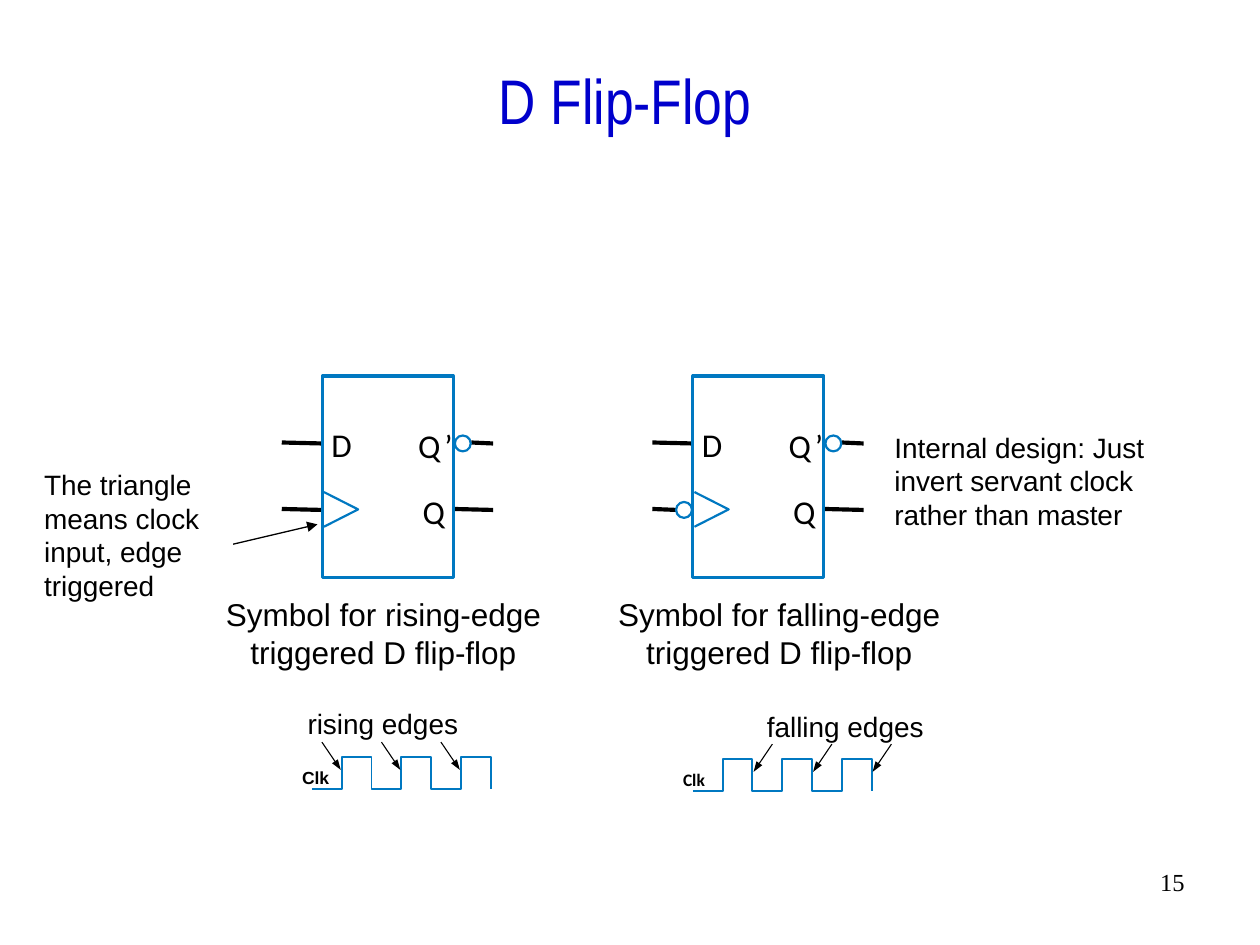
from dataclasses import dataclass

from lxml import etree
from pptx import Presentation
from pptx.dml.color import RGBColor
from pptx.enum.shapes import MSO_CONNECTOR, MSO_SHAPE
from pptx.enum.text import MSO_ANCHOR, MSO_AUTO_SIZE, PP_ALIGN
from pptx.oxml.ns import qn
from pptx.util import Cm, Pt

LEFT, CENTER, RIGHT = PP_ALIGN.LEFT, PP_ALIGN.CENTER, PP_ALIGN.RIGHT
MIDDLE = MSO_ANCHOR.MIDDLE
FIT_SHAPE = MSO_AUTO_SIZE.SHAPE_TO_FIT_TEXT
STRAIGHT = MSO_CONNECTOR.STRAIGHT
RECTANGLE, OVAL = MSO_SHAPE.RECTANGLE, MSO_SHAPE.OVAL

BLACK = RGBColor(0x00, 0x00, 0x00)
WHITE = RGBColor(0xFF, 0xFF, 0xFF)
BLUE = RGBColor(0x00, 0x78, 0xC1)
TITLE_BLUE = RGBColor(0x00, 0x00, 0xCC)

# All measures below are in centimetres
BODY_TOP, BODY_WIDTH, BODY_HEIGHT = 7.58, 2.64, 4.06
DATA_Y, CLOCK_Y = 8.93, 10.27
PIN_LENGTH, BUBBLE = 0.82, 0.32
HALF_PERIOD, PULSE_HEIGHT, PULSES = 0.6, 0.65, 3


@dataclass(frozen=True)
class Label:
    text: str
    left: float
    top: float
    width: float
    height: float
    size: float = 16
    font: str = "Arial"
    align: PP_ALIGN = LEFT
    bold: bool = False
    wrap: bool = False
    inset: bool = True


@dataclass(frozen=True)
class FlipFlop:
    left: float
    inverted_clock: bool


@dataclass(frozen=True)
class Clock:
    left: float
    top: float
    edge: int  # half period in which the first marked edge comes
    lean: int  # side of the edge on which its arrow starts
    font: str


PIN_NAMES = (  # text, offset from the body's left side, top, width
    ("D", 0.18, 8.56, 0.48),
    ("Q", 1.93, 8.58, 0.53),
    ("’", 2.46, 8.58, 0.13),
    ("Q", 2.02, 9.9, 0.53),
)
FLIP_FLOPS = (FlipFlop(6.5, False), FlipFlop(13.97, True))
CLOCKS = (
    Clock(6.29, 15.26, 1, -1, "Arial"),
    Clock(13.97, 15.3, 2, 1, "Calibri"),
)
LABELS = (
    Label("Symbol for rising-edge\ntriggered D flip-flop",
          4.08, 11.87, 7.3, 1.78, size=18, align=CENTER),
    Label("Symbol for falling-edge\ntriggered D flip-flop",
          11.96, 11.87, 7.5, 1.78, size=18, align=CENTER),
    Label("rising edges", 5.95, 14.12, 4.2, 0.94, wrap=True),
    Label("falling edges", 15.21, 14.17, 4.4, 0.94, wrap=True),
    Label("Internal design: Just invert servant clock rather than master",
          17.78, 8.55, 6.1, 2.29, wrap=True),
    Label("The triangle means clock input, edge triggered",
          0.64, 9.3, 5.13, 2.97, wrap=True),
    Label("15", 18.85, 17.35, 5.28, 1.27, size=14, font="Times New Roman",
          align=RIGHT, wrap=True),
)


def format_text(frame, size: float, font: str, color: RGBColor,
                align: PP_ALIGN, bold: bool = False) -> None:
    for paragraph in frame.paragraphs:
        paragraph.alignment = align
        for run in paragraph.runs:
            run.font.size = Pt(size)
            run.font.name = font
            run.font.bold = bold
            run.font.color.rgb = color


def draw_label(shapes, label: Label) -> None:
    box = shapes.add_textbox(Cm(label.left), Cm(label.top),
                             Cm(label.width), Cm(label.height))
    frame = box.text_frame
    frame.text = label.text
    frame.word_wrap = label.wrap
    frame.auto_size = FIT_SHAPE
    if not label.inset:
        frame.margin_left = frame.margin_right = 0
        frame.margin_top = frame.margin_bottom = 0
    format_text(frame, label.size, label.font, BLACK, label.align, label.bold)


def draw_line(shapes, x1: float, y1: float, x2: float, y2: float,
              weight: float, head_width: str = "") -> None:
    line = shapes.add_connector(STRAIGHT, Cm(x1), Cm(y1), Cm(x2), Cm(y2))
    line.line.color.rgb = BLACK
    line.line.width = Pt(weight)
    properties = line._element.spPr
    if head_width:
        etree.SubElement(properties.find(qn("a:ln")), qn("a:tailEnd"),
                         type="triangle", w=head_width, len="med")
    etree.SubElement(properties, qn("a:effectLst"))


def outline(shape, weight: float) -> None:
    shape.shadow.inherit = False
    shape.line.color.rgb = BLUE
    shape.line.width = Pt(weight)


def draw_path(shapes, points: list[tuple[float, float]],
              weight: float) -> None:
    corners = [(Cm(x), Cm(y)) for x, y in points]
    builder = shapes.build_freeform(*corners[0])
    builder.add_line_segments(corners[1:], close=False)
    path_shape = builder.convert_to_shape()
    path_shape.fill.background()
    outline(path_shape, weight)


def draw_bubble(shapes, left: float, center_y: float) -> None:
    bubble = shapes.add_shape(OVAL, Cm(left), Cm(center_y - BUBBLE / 2),
                              Cm(BUBBLE), Cm(BUBBLE))
    bubble.fill.solid()
    bubble.fill.fore_color.rgb = WHITE
    outline(bubble, 1.25)


def draw_flip_flop(shapes, symbol: FlipFlop) -> None:
    left, right = symbol.left, symbol.left + BODY_WIDTH
    # Pins, shortened where a bubble sits on them
    for y in (DATA_Y, CLOCK_Y):
        is_inverted = symbol.inverted_clock and y == CLOCK_Y
        draw_line(shapes, left - PIN_LENGTH, y - 0.01,
                  left - (BUBBLE if is_inverted else 0), y + 0.01, 2.38)
        draw_line(shapes, right + (0.36 if y == DATA_Y else 0), y - 0.01,
                  right + PIN_LENGTH - 0.02, y + 0.01, 2.38)
    # Body and clock triangle
    body = shapes.add_shape(RECTANGLE, Cm(left), Cm(BODY_TOP),
                            Cm(BODY_WIDTH), Cm(BODY_HEIGHT))
    body.fill.background()
    outline(body, 1.75)
    draw_path(shapes, [(left + 0.03, CLOCK_Y + 0.35), (left + 0.72, CLOCK_Y),
                       (left + 0.03, CLOCK_Y - 0.35)], 1.25)
    # Inverting bubbles
    draw_bubble(shapes, right + 0.03, DATA_Y + 0.01)
    if symbol.inverted_clock:
        draw_bubble(shapes, left - BUBBLE - 0.02, CLOCK_Y + 0.01)
    # Pin names
    for name, offset, top, width in PIN_NAMES:
        draw_label(shapes, Label(name, left + offset, top, width, 0.81,
                                 size=19, font="Calibri", inset=False))


def draw_clock(shapes, clock: Clock) -> None:
    levels = (clock.top + PULSE_HEIGHT, clock.top)
    wave = [(clock.left, levels[0])]
    for step in range(1, 2 * PULSES + 1):
        x = clock.left + step * HALF_PERIOD
        wave += [(x, levels[(step + 1) % 2]), (x, levels[step % 2])]
    draw_path(shapes, wave, 1.13)
    for pulse in range(PULSES):
        tip = clock.left + (clock.edge + 2 * pulse) * HALF_PERIOD
        draw_line(shapes, tip + 0.4 * clock.lean, clock.top - 0.3,
                  tip + 0.02 * clock.lean, clock.top + 0.26, 0.62, "sm")
    draw_label(shapes, Label("Clk", clock.left - 0.2, clock.top + 0.2,
                             0.56, 0.43, size=10, font=clock.font,
                             bold=True, inset=False))


def main() -> None:
    presentation = Presentation()
    presentation.slide_width, presentation.slide_height = Cm(25.4), Cm(19.05)
    slide = presentation.slides.add_slide(presentation.slide_layouts[5])
    shapes = slide.shapes

    # Title
    title = shapes.title
    title.left, title.top = Cm(0.64), Cm(0.84)
    title.width, title.height = Cm(23.93), Cm(2.34)
    title.text_frame.text = "D Flip-Flop"
    title.text_frame.vertical_anchor = MIDDLE
    format_text(title.text_frame, 36, "Arial Narrow", TITLE_BLUE, CENTER)

    # Symbols, clock signals and explanations
    for symbol in FLIP_FLOPS:
        draw_flip_flop(shapes, symbol)
    for clock in CLOCKS:
        draw_clock(shapes, clock)
    for label in LABELS:
        draw_label(shapes, label)

    # Pointer from the note to the clock triangle
    draw_line(shapes, 4.7, 10.97, 6.4, 10.57, 0.75, "med")

    presentation.save("out.pptx")


if __name__ == "__main__":
    main()
